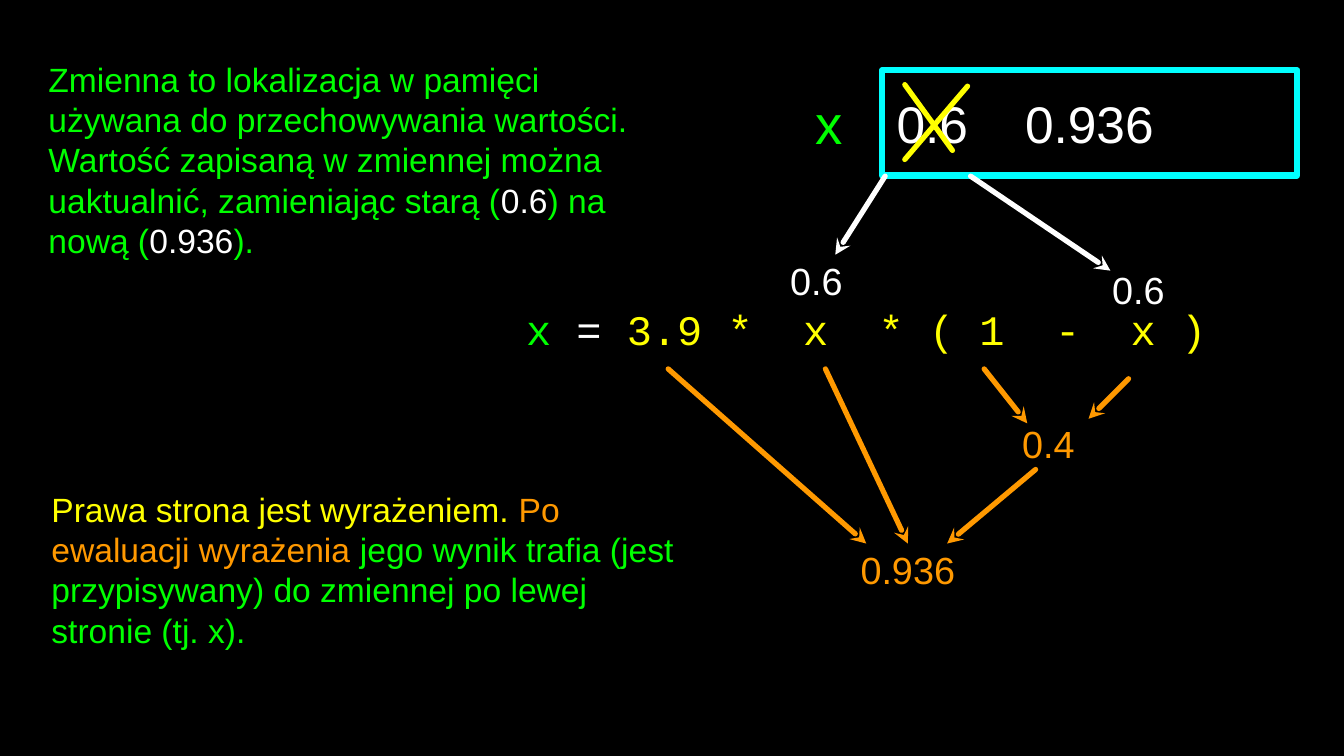
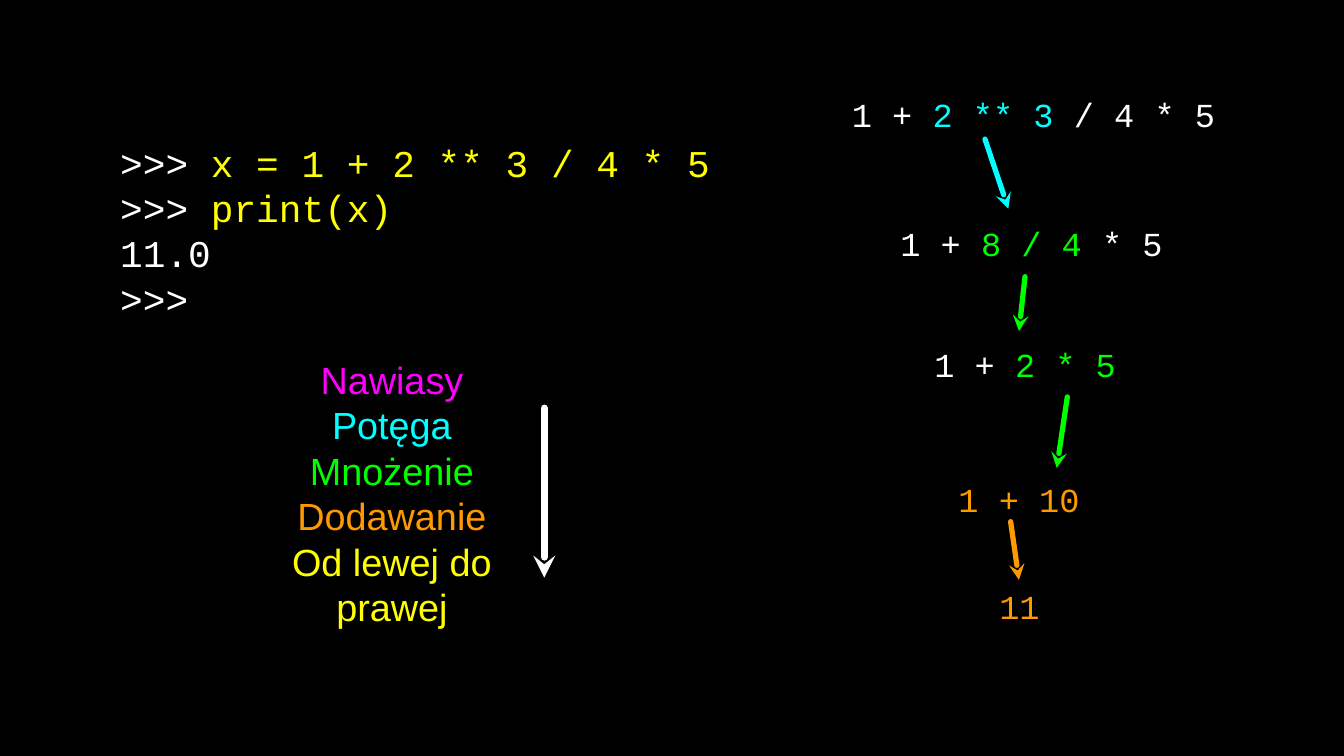
"""Build two slides on variable assignment and operator precedence."""
from dataclasses import dataclass
from typing import Any

import pptx
import pptx.dml.color
import pptx.enum.shapes
import pptx.enum.text
import pptx.util
from lxml import etree
from pptx.oxml.ns import qn

Inches = pptx.util.Inches
Pt = pptx.util.Pt
RGBColor = pptx.dml.color.RGBColor
Align = pptx.enum.text.PP_ALIGN

BLACK = RGBColor(0x00, 0x00, 0x00)
WHITE = RGBColor(0xFF, 0xFF, 0xFF)
GREEN = RGBColor(0x00, 0xFF, 0x00)
YELLOW = RGBColor(0xFF, 0xFF, 0x00)
ORANGE = RGBColor(0xFF, 0x99, 0x00)
CYAN = RGBColor(0x00, 0xFF, 0xFF)
MAGENTA = RGBColor(0xFF, 0x00, 0xFF)
PROSE = "Arial"
CODE = "Courier New"

Run = tuple[str, RGBColor]


@dataclass(frozen=True)
class Label:
    """A text block: its box in inches, its paragraphs of runs and its type."""
    box: tuple[float, float, float, float]
    paragraphs: list[list[Run]]
    size: int
    font: str = PROSE
    align: Any = Align.LEFT


@dataclass(frozen=True)
class Stroke:
    """A straight line in inches, with an arrowhead at its end if wanted."""
    start: tuple[float, float]
    end: tuple[float, float]
    color: RGBColor
    width: int = 5
    arrow: bool = True


def inches(values: tuple[float, ...]) -> list[int]:
    """Convert numbers to lengths."""
    return [Inches(value) for value in values]


def write(shape: Any, label: Label) -> None:
    """Fill a shape with the label's text, centred vertically."""
    frame = shape.text_frame
    frame.word_wrap = True
    frame.vertical_anchor = pptx.enum.text.MSO_ANCHOR.MIDDLE
    frame.margin_left = frame.margin_right = frame.margin_top = frame.margin_bottom = 0
    for index, runs in enumerate(label.paragraphs):
        paragraph = frame.add_paragraph() if index else frame.paragraphs[0]
        paragraph.alignment = label.align
        paragraph.font.size = Pt(label.size)
        paragraph.font.name = label.font
        for text, color in runs:
            run = paragraph.add_run()
            run.text = text
            run.font.color.rgb = color


def add_label(shapes: Any, label: Label) -> None:
    """Add a text box."""
    write(shapes.add_textbox(*inches(label.box)), label)


def style_line(shape: Any, color: RGBColor, width: int) -> Any:
    """Colour a line with round joins and return its XML element."""
    shape.line.color.rgb = color
    shape.line.width = Pt(width)
    line = shape.line._get_or_add_ln()
    line.set("cap", "rnd")
    etree.SubElement(line, qn("a:round"))
    return line


def add_stroke(shapes: Any, stroke: Stroke) -> None:
    """Add a straight line or arrow."""
    connector = shapes.add_connector(
        pptx.enum.shapes.MSO_CONNECTOR.STRAIGHT, *inches(stroke.start + stroke.end))
    line = style_line(connector, stroke.color, stroke.width)
    if stroke.arrow:
        etree.SubElement(line, qn("a:tailEnd"), type="stealth")
    etree.SubElement(connector._element.spPr, qn("a:effectLst"))


def add_memory_cell(shapes: Any) -> None:
    """Add the framed cell that holds the old and the new value."""
    label = Label((11.67, 0.93, 5.49, 1.39), [[("0.6\t0.936", WHITE)]], 49)
    cell = shapes.add_shape(
        pptx.enum.shapes.MSO_SHAPE.RECTANGLE, *inches(label.box))
    cell.shadow.inherit = False
    cell.fill.background()
    style_line(cell, CYAN, 6)
    write(cell, label)
    cell.text_frame.margin_left = Inches(0.19)
    properties = cell.text_frame.paragraphs[0]._p.get_or_add_pPr()
    stops = etree.Element(qn("a:tabLst"))
    etree.SubElement(stops, qn("a:tab"), pos=str(Inches(1.7)), algn="l")
    properties.find(qn("a:defRPr")).addprevious(stops)


def centred(box: tuple[float, float, float, float], text: str,
            color: RGBColor, size: int = 36) -> Label:
    """Describe a short centred value."""
    return Label(box, [[(text, color)]], size, align=Align.CENTER)


def step(left: float, top: float, width: float, *runs: Run) -> Label:
    """Describe one step of the evaluation."""
    return Label((left, top, width, 0.87), [list(runs)], 32, CODE)


ASSIGNMENT_LABELS = [
    Label((0.64, 0.93, 8.21, 2.36), [[
        ("Zmienna to lokalizacja w pamięci używana do przechowywania wartości. "
         "Wartość zapisaną w zmiennej można uaktualnić, zamieniając starą (", GREEN),
        ("0.6", WHITE), (") na nową (", GREEN), ("0.936", WHITE), (").", GREEN)]], 32),
    Label((0.68, 6.4, 8.38, 2.26), [[
        ("Prawa strona jest wyrażeniem. ", YELLOW),
        ("Po ewaluacji wyrażenia ", ORANGE),
        ("jego wynik trafia (jest przypisywany) do zmiennej po lewej stronie (tj. x).",
         GREEN)]], 32),
    Label((6.96, 3.72, 9.67, 1.26), [[
        ("x ", GREEN), ("= ", WHITE), ("3.9 *  x  * ( 1  -  x )", YELLOW)]], 40, CODE),
    centred((10.73, 1.15, 0.49, 0.94), "x", GREEN, 52),
    centred((10.31, 3.37, 0.98, 0.68), "0.6", WHITE),
    centred((14.48, 3.49, 1.16, 0.68), "0.6", WHITE),
    centred((13.29, 5.53, 1.16, 0.68), "0.4", ORANGE),
    centred((11.06, 7.19, 1.9, 0.68), "0.936", ORANGE),
]
ASSIGNMENT_STROKES = [
    Stroke((12.8, 1.14), (11.97, 2.11), YELLOW, arrow=False),
    Stroke((11.97, 1.12), (12.6, 1.99), YELLOW, arrow=False),
    Stroke((11.71, 2.33), (11.05, 3.37), WHITE),
    Stroke((12.84, 2.33), (14.69, 3.58), WHITE),
    Stroke((8.84, 4.88), (11.46, 7.19), ORANGE),
    Stroke((10.92, 4.88), (12.01, 7.19), ORANGE),
    Stroke((13.02, 4.88), (13.59, 5.6), ORANGE),
    Stroke((14.93, 5.01), (14.4, 5.54), ORANGE),
    Stroke((13.7, 6.21), (12.53, 7.19), ORANGE),
]
PRECEDENCE_LABELS = [
    step(11.27, 1.08, 5.06, ("1 + ", WHITE), ("2 ** 3", CYAN), (" / 4 * 5", WHITE)),
    step(11.91, 2.78, 4.42, ("1 + ", WHITE), ("8 / 4", GREEN), (" * 5", WHITE)),
    step(12.36, 4.38, 3.52, ("1 + ", WHITE), ("2 * 5", GREEN)),
    step(12.68, 6.17, 2.47, ("1 + 10", ORANGE)),
    step(13.22, 7.58, 0.79, ("11", ORANGE)),
    Label((1.59, 1.43, 8.04, 3.23), [
        [(">>> ", WHITE), ("x = 1 + 2 ** 3 / 4 * 5", YELLOW)],
        [(">>> ", WHITE), ("print(x)", YELLOW)],
        [("11.0", WHITE)],
        [(">>>", WHITE)]], 36, CODE),
]
PRECEDENCE_STROKES = [
    Stroke((13.03, 1.84), (13.34, 2.76), CYAN),
    Stroke((13.56, 3.66), (13.48, 4.38), GREEN),
    Stroke((14.12, 5.25), (13.98, 6.19), GREEN),
    Stroke((13.37, 6.9), (13.48, 7.67), ORANGE),
]
RANKING = Label((3.55, 4.87, 3.27, 3.3), [
    [("Nawiasy", MAGENTA)], [("Potęga", CYAN)], [("Mnożenie", GREEN)],
    [("Dodawanie", ORANGE)], [("Od lewej do prawej", YELLOW)]], 36, align=Align.CENTER)
RANKING_ARROW = Stroke((7.2, 5.4), (7.2, 7.64), WHITE, 7)


def add_slide(presentation: Any, labels: list[Label], strokes: list[Stroke]) -> Any:
    """Add a blank slide with its labels and strokes."""
    slide = presentation.slides.add_slide(presentation.slide_layouts[6])
    for label in labels:
        add_label(slide.shapes, label)
    for stroke in strokes:
        add_stroke(slide.shapes, stroke)
    return slide


def main() -> None:
    """Build and save the presentation."""
    presentation = pptx.Presentation()
    presentation.slide_width = Inches(17.78)
    presentation.slide_height = Inches(10)
    background = presentation.slide_master.background.fill
    background.solid()
    background.fore_color.rgb = BLACK

    assignment = add_slide(presentation, ASSIGNMENT_LABELS, [])
    add_memory_cell(assignment.shapes)
    for stroke in ASSIGNMENT_STROKES:
        add_stroke(assignment.shapes, stroke)

    precedence = add_slide(presentation, PRECEDENCE_LABELS, PRECEDENCE_STROKES)
    ranking = precedence.shapes.add_group_shape()
    add_label(ranking.shapes, RANKING)
    add_stroke(ranking.shapes, RANKING_ARROW)
    presentation.save("out.pptx")


main()
